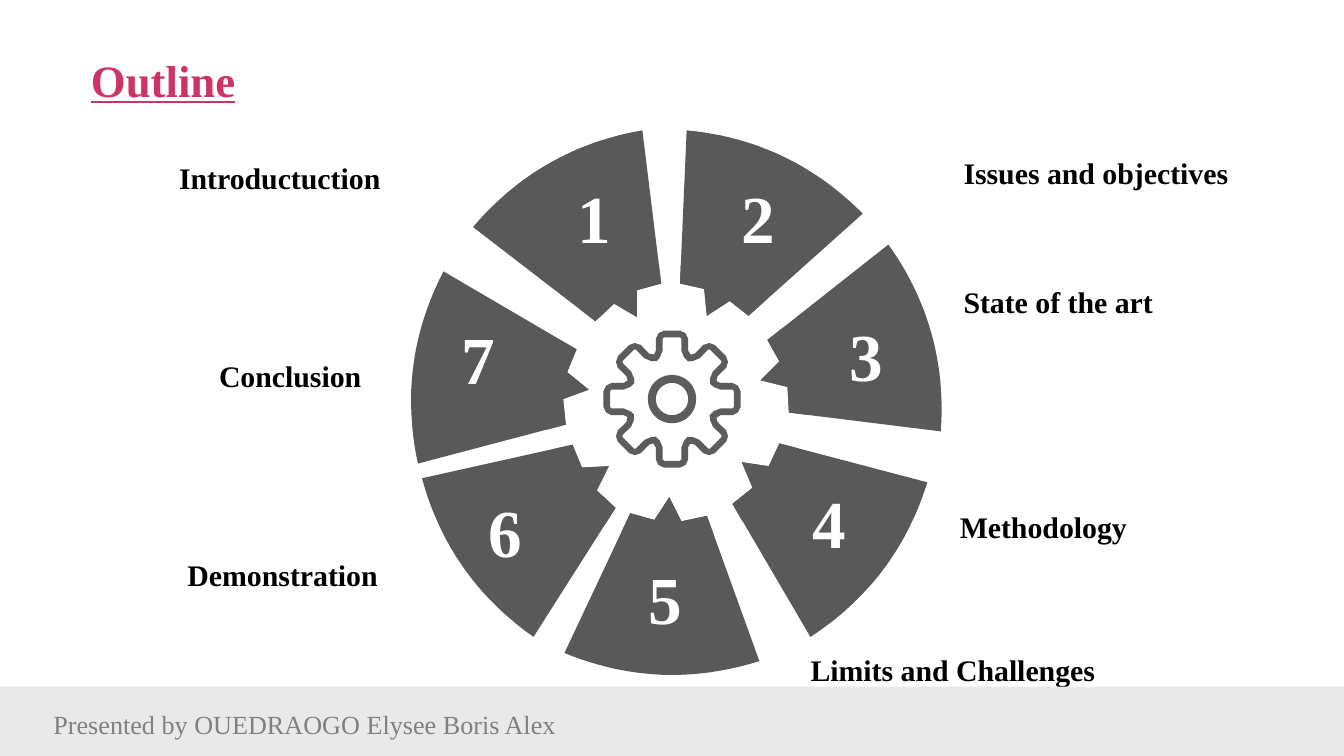
from dataclasses import dataclass
from math import cos, hypot, pi, sin

from pptx import Presentation
from pptx.dml.color import RGBColor
from pptx.enum.shapes import MSO_SHAPE
from pptx.enum.text import MSO_ANCHOR, MSO_AUTO_SIZE, PP_ALIGN
from pptx.util import Cm, Pt


@dataclass(frozen=True)
class Theme:
    font: str = "Times New Roman"
    title: str = "CC3366"
    label: str = "000000"
    number: str = "FFFFFF"
    footer: str = "808080"
    wedge: str = "595959"
    gear: str = "5C5C5C"
    bar: str = "E9E9E9"
    title_size: int = 24
    label_size: int = 16
    number_size: int = 36
    footer_size: int = 14


@dataclass(frozen=True)
class Section:
    label: str
    label_at: tuple
    align: PP_ALIGN
    number_at: tuple
    rim: tuple
    inner: tuple


THEME = Theme()
GRID = Cm(2.54)
STEPS = 1000
RIM_RADIUS = 2
HUB_RADIUS = 1.02
HUB_SHARE = 0.13
GEAR_CENTER = (5, 2.97)
TEETH = 8
LEFT, RIGHT = PP_ALIGN.LEFT, PP_ALIGN.RIGHT

SECTIONS = [
    Section("Introductuction", (1.07, 2.82), RIGHT, (10.67, 3.2),
            ((4.78, 0.97), (3.52, 1.69)),
            ((4.43, 2.39), (4.57, 2.26), (4.74, 2.36), (4.74, 2.16), (4.92, 2.11))),
    Section("Issues and objectives", (18.21, 2.72), LEFT, (13.77, 3.2),
            ((6.42, 1.59), (5.11, 0.97)),
            ((5.06, 2.11), (5.24, 2.15), (5.26, 2.35), (5.43, 2.24), (5.57, 2.35))),
    Section("State of the art", (18.21, 5.16), LEFT, (15.8, 5.82),
            ((7, 3.21), (6.61, 1.82)),
            ((5.71, 2.53), (5.8, 2.69), (5.66, 2.83), (5.86, 2.88), (5.87, 3.07))),
    Section("Methodology", (18.14, 9.4), LEFT, (15.11, 8.97),
            ((6.03, 4.74), (6.9, 3.59)),
            ((5.8, 3.3), (5.72, 3.47), (5.52, 3.44), (5.6, 3.63), (5.45, 3.75))),
    Section("Limits and Challenges", (15.32, 12.12), LEFT, (12.01, 10.41),
            ((4.2, 4.86), (5.65, 4.92)),
            ((5.26, 3.84), (5.07, 3.88), (4.98, 3.7), (4.87, 3.87), (4.69, 3.82))),
    Section("Demonstration", (1.02, 10.31), RIGHT, (8.99, 9.14),
            ((3.14, 3.56), (3.97, 4.74)),
            ((4.58, 3.78), (4.44, 3.65), (4.53, 3.47), (4.33, 3.48), (4.26, 3.31))),
    Section("Conclusion", (0.71, 6.55), RIGHT, (8.48, 5.87),
            ((3.3, 2.02), (3.11, 3.45)),
            ((4.21, 3.16), (4.19, 2.97), (4.38, 2.9), (4.22, 2.77), (4.29, 2.6))),
]

OUTER_TOOTH = [(-0.12, -0.36), (-0.12, -0.45), (-0.1, -0.49), (-0.06, -0.51),
               (0.06, -0.51), (0.1, -0.49), (0.12, -0.45), (0.12, -0.36),
               (0.14, -0.33)]
INNER_TOOTH = [(-0.09, -0.31), (-0.07, -0.36), (-0.07, -0.45), (-0.06, -0.46),
               (0.06, -0.46), (0.07, -0.45), (0.07, -0.36), (0.09, -0.31),
               (0.12, -0.28)]


def paint(shape, color):
    shape.shadow.inherit = False
    shape.fill.solid()
    shape.fill.fore_color.rgb = RGBColor.from_string(color)
    shape.line.fill.background()


def add_text(page, text, left, top, width, height, *, size, color, bold=False,
             underline=False, align=LEFT, anchor=MSO_ANCHOR.TOP,
             margins=(0.25, 0.13), line_spacing=None, space_after=None):
    box = page.shapes.add_textbox(Cm(left), Cm(top), Cm(width), Cm(height))
    frame = box.text_frame
    frame.word_wrap = True
    frame.auto_size = MSO_AUTO_SIZE.SHAPE_TO_FIT_TEXT
    frame.vertical_anchor = anchor
    frame.margin_left = frame.margin_right = Cm(margins[0])
    frame.margin_top = frame.margin_bottom = Cm(margins[1])
    para = frame.paragraphs[0]
    para.alignment = align
    para.line_spacing = line_spacing
    para.space_after = space_after
    span = para.add_run()
    span.text = text
    span.font.name = THEME.font
    span.font.size = Pt(size)
    span.font.bold = bold
    span.font.underline = underline
    span.font.color.rgb = RGBColor.from_string(color)


def add_outline(page, contours, color):
    scaled = [[(x * STEPS, y * STEPS) for x, y in contour] for contour in contours]
    builder = page.shapes.build_freeform(*scaled[0][0], scale=GRID / STEPS)
    builder.add_line_segments(scaled[0][1:], close=True)
    for contour in scaled[1:]:
        builder.move_to(*contour[0])
        builder.add_line_segments(contour[1:], close=True)
    shape = builder.convert_to_shape()
    paint(shape, color)
    return shape


def between(start, end, share):
    return tuple(a + (b - a) * share for a, b in zip(start, end))


def arc(start, end, radius, count=24):
    across, down = end[0] - start[0], end[1] - start[1]
    chord = hypot(across, down)
    points = []
    for step in range(count + 1):
        share = step / count
        x, y = between(start, end, share)
        bulge = chord * share * (1 - share) / (2 * radius)
        points.append((x - down * bulge, y + across * bulge))
    return points


def add_wedge(page, section):
    inner, (start, end) = section.inner, section.rim
    hub_start = between(inner[-1], start, HUB_SHARE)
    hub_end = between(inner[0], end, HUB_SHARE)
    wedge = [*inner, *arc(start, end, RIM_RADIUS)]
    hub = [*inner, *arc(hub_start, hub_end, HUB_RADIUS)]
    page.shapes.add_group_shape(
        [add_outline(page, [contour], THEME.wedge) for contour in (wedge, hub)])


def turned(points, count):
    center_x, center_y = GEAR_CENTER
    angles = [2 * pi * step / count for step in range(count)]
    return [(center_x + x * cos(angle) - y * sin(angle),
             center_y + x * sin(angle) + y * cos(angle))
            for angle in angles for x, y in points]


def add_gear(page):
    rings = [turned(tooth, TEETH) for tooth in (OUTER_TOOTH, INNER_TOOTH)]
    circles = [turned([(0, -radius)], 48) for radius in (0.18, 0.12)]
    add_outline(page, rings + circles, THEME.gear)


def add_label(page, section):
    add_text(page, section.label, *section.label_at, 6.12, 0.89,
             size=THEME.label_size, color=THEME.label, bold=True,
             align=section.align, anchor=MSO_ANCHOR.MIDDLE, margins=(0, 0),
             line_spacing=1.3, space_after=Pt(10))


def add_number(page, number, section):
    add_text(page, str(number), *section.number_at, 0.99, 1.78,
             size=THEME.number_size, color=THEME.number, bold=True)


def add_footer(page):
    bar = page.shapes.add_shape(MSO_SHAPE.RECTANGLE, 0, Cm(12.98), Cm(25.4), Cm(1.35))
    paint(bar, THEME.bar)
    add_text(page, "Presented by OUEDRAOGO Elysee Boris Alex", 0.76, 13.26, 10.36, 0.84,
             size=THEME.footer_size, color=THEME.footer)


def main():
    deck = Presentation()
    deck.slide_width, deck.slide_height = Cm(25.4), Cm(14.29)
    page = deck.slides.add_slide(deck.slide_layouts[6])
    for section in SECTIONS:
        add_wedge(page, section)
    add_gear(page)
    for section in SECTIONS:
        add_label(page, section)
    add_footer(page)
    add_text(page, "Outline", 1.47, 0.86, 5.51, 1.27, size=THEME.title_size,
             color=THEME.title, bold=True, underline=True)
    for number, section in enumerate(SECTIONS, start=1):
        add_number(page, number, section)
    deck.save("out.pptx")


if __name__ == "__main__":
    main()
